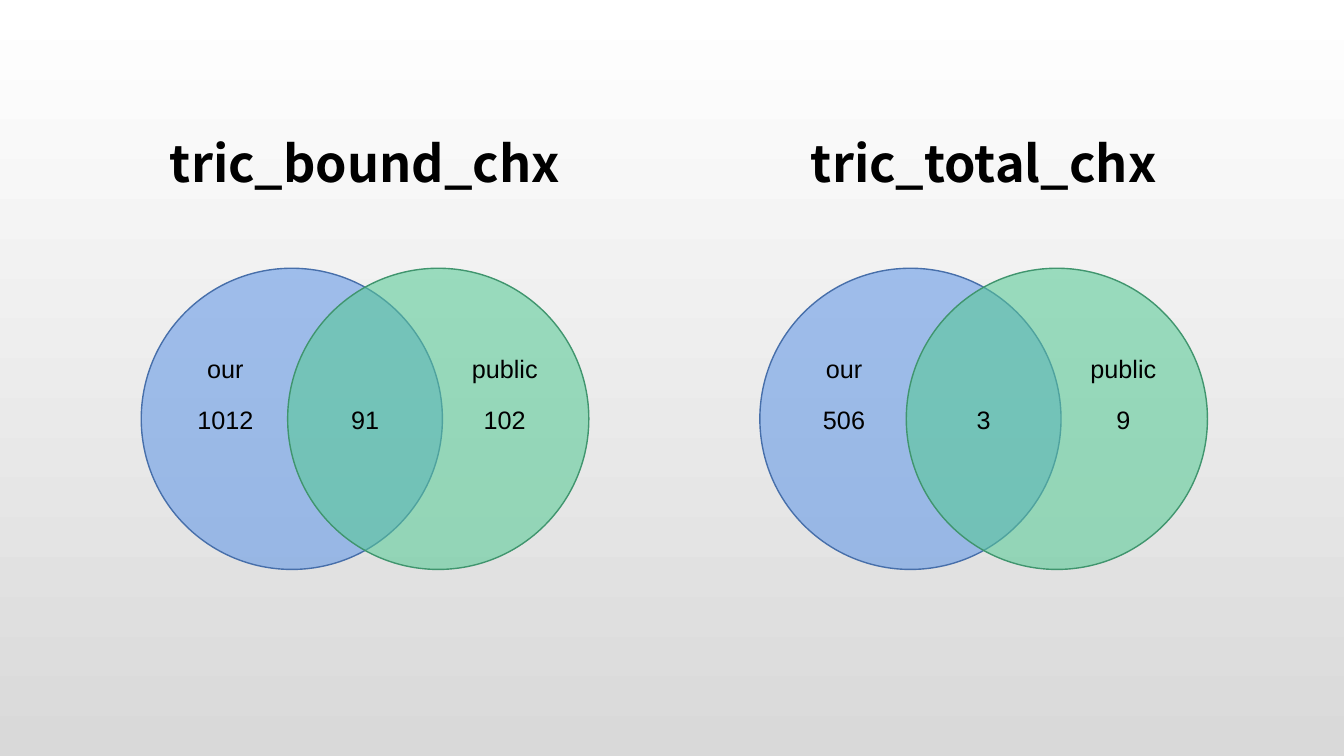
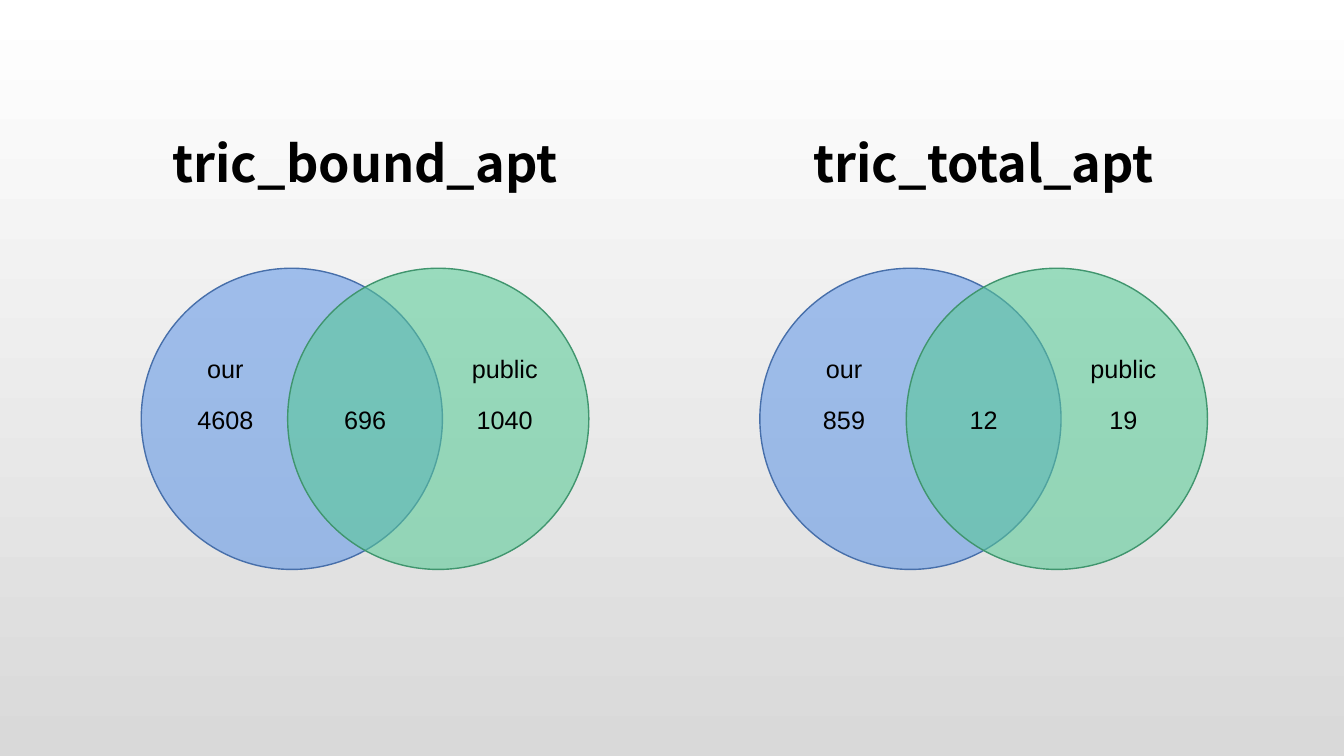
from pptx import Presentation
from pptx.dml.color import RGBColor
from pptx.enum.shapes import MSO_SHAPE
from pptx.enum.text import MSO_ANCHOR, MSO_AUTO_SIZE, PP_ALIGN
from pptx.oxml.ns import qn
from pptx.util import Cm, Pt
from lxml.etree import Element, SubElement

BLACK = "000000"
BLUE = ("6096E6", "476FAA")
GREEN = ("56CA95", "40956E")
WIDTH = 11.28
ROUND = 7.59
TOP = 2.62
LEFTS = (3.56, 19.15)

SLIDES = [
    [("tric_bound_chx", "1012", "91", "102"),
     ("tric_total_chx", "506", "3", "9")],
    [("tric_bound_apt", "4608", "696", "1040"),
     ("tric_total_apt", "859", "12", "19")],
]


def paint(color, code):
    color.rgb = RGBColor.from_string(code)


def write(frame, text, size, font, bold=False):
    para = frame.paragraphs[0]
    para.alignment = PP_ALIGN.CENTER
    run = para.add_run()
    run.text = text
    run.font.size = Pt(size)
    run.font.name = font
    run.font.bold = bold
    paint(run.font.color, BLACK)


def shade(deck):
    fill = deck.slide_master.background.fill
    fill.gradient()
    fill.gradient_angle = 270
    for stop, code in zip(fill.gradient_stops, ("FFFFFF", "D9D9D9")):
        paint(stop.color, code)


def title(slide, left, top, text):
    wide, high = 10.16, 2.95
    left += (WIDTH - wide) / 2
    table = slide.shapes.add_table(
        1, 1, Cm(left), Cm(top), Cm(wide), Cm(high)).table
    table.first_row = table.horz_banding = False
    cell = table.cell(0, 0)
    cell.fill.background()
    cell.vertical_anchor = MSO_ANCHOR.MIDDLE
    cell.margin_left = cell.margin_right = cell.margin_top = Cm(0.03)
    cell.margin_bottom = Cm(0.13)
    props = cell._tc.get_or_add_tcPr()
    for spot, side in enumerate(("a:lnL", "a:lnR", "a:lnT", "a:lnB")):
        edge = Element(qn(side))
        SubElement(edge, qn("a:noFill"))
        props.insert(spot, edge)
    write(cell.text_frame, text, 36, "Noto Sans CJK SC", True)


def circle(group, left, top, tones):
    disc = group.shapes.add_shape(
        MSO_SHAPE.OVAL, Cm(left), Cm(top), Cm(ROUND), Cm(ROUND))
    disc.shadow.inherit = False
    disc.fill.solid()
    paint(disc.fill.fore_color, tones[0])
    code = disc._element.spPr.find(".//" + qn("a:srgbClr"))
    SubElement(code, qn("a:alpha")).set("val", "57000")
    paint(disc.line.color, tones[1])
    disc.line.width = Pt(1)


def label(parent, mid, top, wide, text):
    box = parent.shapes.add_textbox(
        Cm(mid - wide / 2), Cm(top), Cm(wide), Cm(1.02))
    frame = box.text_frame
    frame.word_wrap = True
    frame.auto_size = MSO_AUTO_SIZE.SHAPE_TO_FIT_TEXT
    write(frame, text, 18, "Arial")


def venn(slide, left, top, name, ours, both, public):
    title(slide, left, top, name)
    group = slide.shapes.add_group_shape()
    circle(group, left, top + 4.14, BLUE)
    circle(group, left + WIDTH - ROUND, top + 4.14, GREEN)
    inset = 2.12
    mids = (left + inset, left + WIDTH / 2, left + WIDTH - inset)
    label(group, mids[0], top + 6.15, 3.12, "our")
    label(group, mids[2], top + 6.15, 3.12, "public")
    for mid, count in zip(mids, (ours, both, public)):
        label(slide, mid, top + 7.44, 2.2, count)


def main():
    deck = Presentation()
    deck.slide_width, deck.slide_height = Cm(33.87), Cm(19.05)
    shade(deck)
    for pair in SLIDES:
        slide = deck.slides.add_slide(deck.slide_layouts[6])
        for left, data in zip(LEFTS, pair):
            venn(slide, left, TOP, *data)
    deck.save("out.pptx")


if __name__ == "__main__":
    main()
